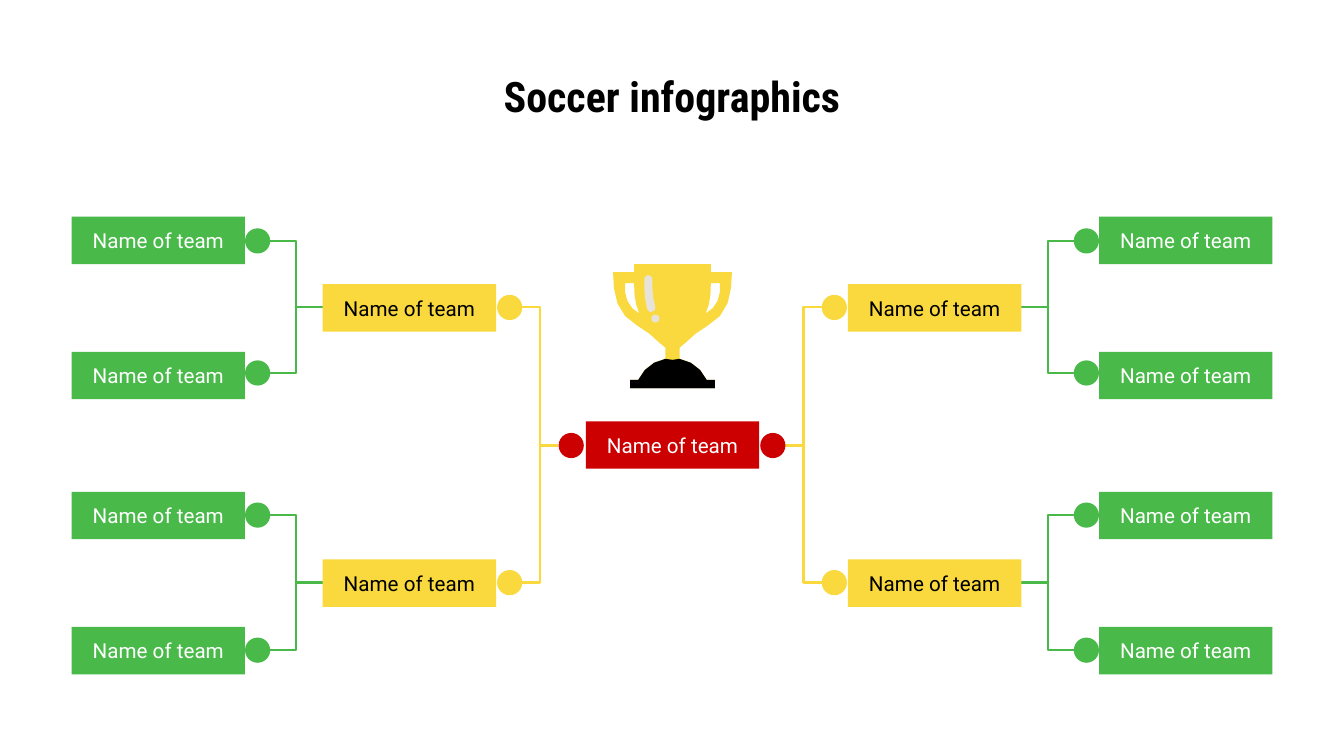
import pptx
import pptx.dml.color
import pptx.enum.shapes
import pptx.enum.text
import pptx.util
from lxml import etree

Inches = pptx.util.Inches
Shape = pptx.enum.shapes.MSO_SHAPE
Anchor = pptx.enum.text.MSO_ANCHOR
GREEN, YELLOW, RED = "49BA49", "F9D93D", "CC0000"
BLACK, WHITE, GLINT = "000000", "FFFFFF", "E8E3D9"
SLIDE_WIDTH, SLIDE_HEIGHT = 13.33, 7.5
BOX_WIDTH, BOX_HEIGHT, DOT = 1.72, 0.47, 0.25
TROPHY_AXIS = 6.67

SEMIFINALS = [
    (2.82, 3.05, [(2.15, 2.39), (3.49, 3.7)]),
    (5.55, 5.78, [(4.88, 5.11), (6.22, 6.45)]),
]
FINAL_TOP, FINAL_MIDDLE = 4.18, 4.42

CUP_HALF = [
    (6.29, 2.62), (6.29, 2.7), (6.08, 2.7), (6.09, 2.86),
    (6.1, 3.01, 6.18, 3.16, 6.32, 3.23), (6.44, 3.31),
    (6.54, 3.4), (6.6, 3.45), (6.6, 3.56),
    (6.48, 3.58, 6.38, 3.66, 6.33, 3.77), (6.25, 3.77), (6.25, 3.85),
]
HANDLE_HOLE = [
    (6.29, 2.81), (6.29, 2.83), (6.29, 2.93, 6.3, 3.02, 6.34, 3.11),
    (6.26, 3.07, 6.21, 2.99, 6.2, 2.9), (6.2, 2.81),
]
BASE_HALF = [
    (6.67, 3.57), (6.6, 3.56),
    (6.48, 3.58, 6.38, 3.66, 6.33, 3.77), (6.25, 3.77), (6.25, 3.85),
]
GLINT_OUTLINE = [
    (6.43, 2.73), (6.41, 2.73, 6.39, 2.75, 6.39, 2.77),
    (6.39, 2.86, 6.39, 2.97, 6.42, 3.07), (6.43, 3.08, 6.44, 3.1, 6.46, 3.1),
    (6.47, 3.09), (6.49, 3.09, 6.5, 3.07, 6.5, 3.05),
    (6.47, 2.95, 6.47, 2.86, 6.47, 2.77), (6.47, 2.75, 6.45, 2.73, 6.43, 2.73),
]


def rgb(value):
    return pptx.dml.color.RGBColor.from_string(value)


def flatten(outline, steps=3):
    points = []
    for node in outline:
        if len(node) == 2:
            points.append(node)
            continue
        curve = [points[-1], node[:2], node[2:4], node[4:]]
        for step in range(1, steps + 1):
            t = step / steps
            weights = ((1 - t) ** 3, 3 * t * (1 - t) ** 2, 3 * t * t * (1 - t), t ** 3)
            points.append(tuple(sum(w * p[axis] for w, p in zip(weights, curve))
                                for axis in (0, 1)))
    return points


def mirror(points):
    return [(2 * TROPHY_AXIS - x, y) for x, y in reversed(points)]


def symmetric(half):
    points = flatten(half)
    return points + mirror(points)


class Bracket:
    """Draws the tournament elements on one slide in a shared style."""

    def __init__(self, slide):
        self.shapes = slide.shapes

    def format_text(self, frame, size, font, color, bold=False, anchor=Anchor.MIDDLE):
        frame.word_wrap = True
        frame.vertical_anchor = anchor
        frame.margin_left = frame.margin_right = Inches(0.13)
        frame.margin_top = frame.margin_bottom = Inches(0.13)
        line = frame.paragraphs[0]
        line.alignment = pptx.enum.text.PP_ALIGN.CENTER
        for run in line.runs:
            run.font.size = pptx.util.Pt(size)
            run.font.name = font
            run.font.bold = bold
            run.font.color.rgb = rgb(color)

    def paint(self, shape, color):
        shape.shadow.inherit = False
        shape.fill.solid()
        shape.fill.fore_color.rgb = rgb(color)
        shape.line.fill.background()

    def title(self, text):
        heading = self.shapes.title
        heading.left, heading.top = Inches(1.04), Inches(0.79)
        heading.width, heading.height = Inches(11.25), Inches(0.6)
        heading.text_frame.text = text
        heading.text_frame.auto_size = pptx.enum.text.MSO_AUTO_SIZE.NONE
        heading.text_frame.paragraphs[0].line_spacing = 0.5
        self.format_text(heading.text_frame, 30, "Roboto Condensed", BLACK,
                         bold=True, anchor=Anchor.TOP)

    def block(self, kind, left, top, width, height, color):
        shape = self.shapes.add_shape(
            kind, Inches(left), Inches(top), Inches(width), Inches(height))
        self.paint(shape, color)
        return shape

    def team(self, left, top, color):
        box = self.block(Shape.ROUNDED_RECTANGLE, left, top, BOX_WIDTH, BOX_HEIGHT, color)
        box.adjustments[0] = 0
        box.text_frame.text = "Name of team"
        self.format_text(box.text_frame, 14.7, "Roboto",
                         BLACK if color == YELLOW else WHITE)

    def dot(self, left, middle, color):
        self.block(Shape.OVAL, left, middle - DOT / 2, DOT, DOT, color)

    def elbow(self, start, end, color):
        branch = self.shapes.add_connector(
            pptx.enum.shapes.MSO_CONNECTOR.ELBOW,
            *(Inches(value) for value in start + end))
        branch.line.color.rgb = rgb(color)
        branch.line.width = pptx.util.Pt(1.5)
        etree.SubElement(branch._element.spPr, pptx.oxml.ns.qn("a:effectLst"))

    def outline(self, contours, color):
        builder = None
        for contour in contours:
            first, *rest = [(Inches(x), Inches(y)) for x, y in contour]
            if builder is None:
                builder = self.shapes.build_freeform(*first, scale=1.0)
            else:
                builder.move_to(*first)
            builder.add_line_segments(rest, close=True)
        self.paint(builder.convert_to_shape(), color)

    def trophy(self):
        hole = flatten(HANDLE_HOLE)
        self.outline([symmetric(CUP_HALF), hole, mirror(hole)], YELLOW)
        self.outline([flatten(GLINT_OUTLINE)], GLINT)
        self.block(Shape.OVAL, 6.46, 3.12, 0.08, 0.08, GLINT)
        self.outline([symmetric(BASE_HALF)], BLACK)
        self.block(Shape.RECTANGLE, 6.25, 3.77, 0.84, 0.08, BLACK)

    def half(self, flipped):
        def across(x, width=0):
            return SLIDE_WIDTH - x - width if flipped else x

        for _, middle, quarters in SEMIFINALS:
            self.elbow((across(5.54), FINAL_MIDDLE), (across(5.18), middle), YELLOW)
            for _, quarter_middle in quarters:
                self.elbow((across(3.2), middle), (across(2.68), quarter_middle), GREEN)
        for top, middle, quarters in SEMIFINALS:
            self.team(across(3.2, BOX_WIDTH), top, YELLOW)
            self.dot(across(4.93, DOT), middle, YELLOW)
            for quarter_top, quarter_middle in quarters:
                self.team(across(0.71, BOX_WIDTH), quarter_top, GREEN)
                self.dot(across(2.43, DOT), quarter_middle, GREEN)
        self.dot(across(5.54, DOT), FINAL_MIDDLE, RED)


def main():
    deck = pptx.Presentation()
    deck.slide_width, deck.slide_height = Inches(SLIDE_WIDTH), Inches(SLIDE_HEIGHT)
    bracket = Bracket(deck.slides.add_slide(deck.slide_layouts[5]))
    bracket.title("Soccer infographics")
    bracket.trophy()
    for flipped in (True, False):
        bracket.half(flipped)
    bracket.team(5.81, FINAL_TOP, RED)
    deck.save("out.pptx")


if __name__ == "__main__":
    main()
